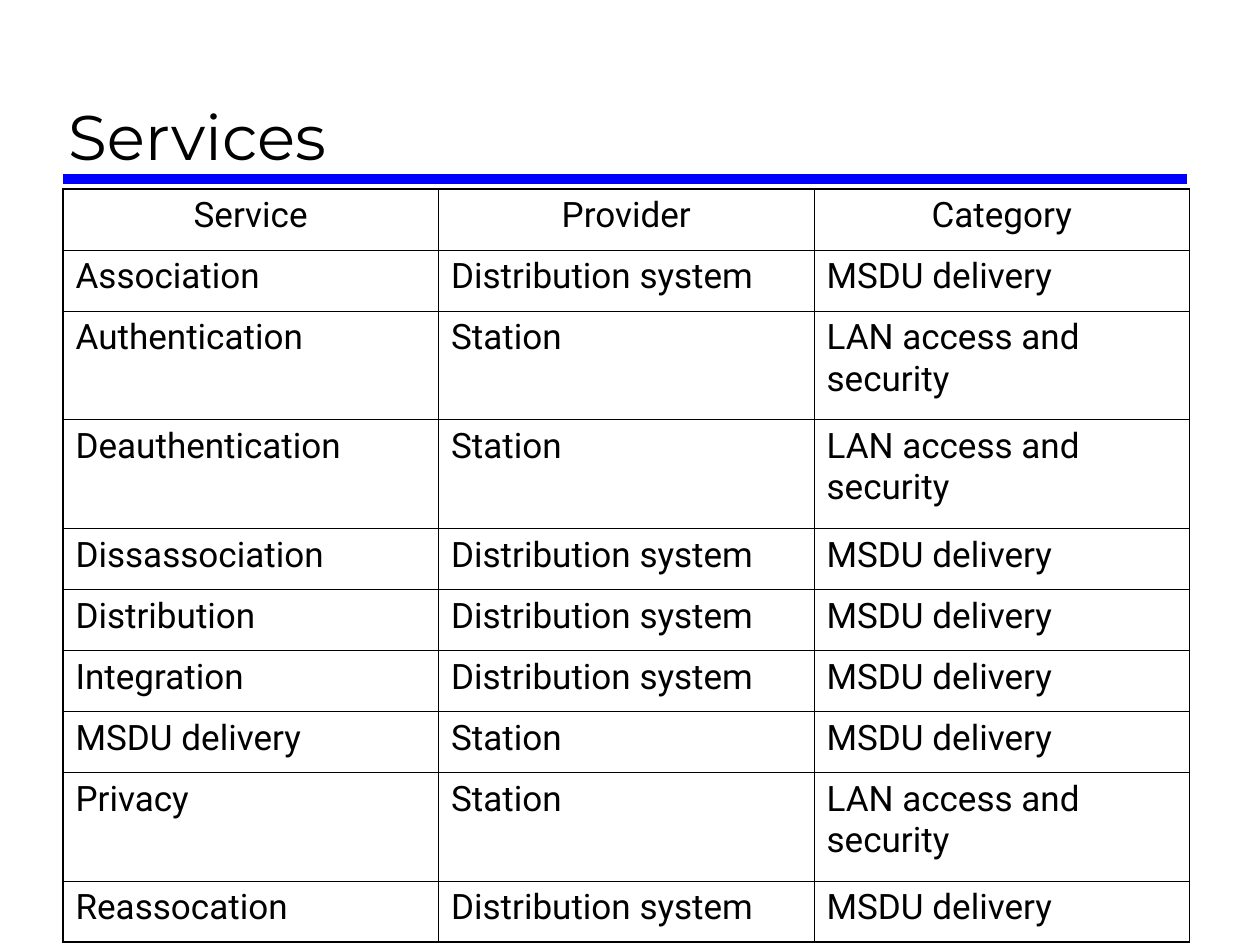
from pptx import Presentation
from pptx.dml.color import RGBColor
from pptx.enum.shapes import MSO_CONNECTOR
from pptx.enum.text import MSO_ANCHOR, MSO_AUTO_SIZE, PP_ALIGN
from pptx.oxml.ns import qn
from pptx.util import Cm, Pt
from lxml.etree import SubElement

ROWS = [
    ("Service", "Provider", "Category"),
    ("Association", "Distribution system", "MSDU delivery"),
    ("Authentication", "Station", "LAN access and security"),
    ("Deauthentication", "Station", "LAN access and security"),
    ("Dissassociation", "Distribution system", "MSDU delivery"),
    ("Distribution", "Distribution system", "MSDU delivery"),
    ("Integration", "Distribution system", "MSDU delivery"),
    ("MSDU delivery", "Station", "MSDU delivery"),
    ("Privacy", "Station", "LAN access and security"),
    ("Reassocation", "Distribution system", "MSDU delivery"),
]


def color(code):
    return RGBColor.from_string(code)


def write(frame, text, font="Roboto", size=20, ink="000000",
          align=PP_ALIGN.LEFT, before=0):
    frame.text = text
    para = frame.paragraphs[0]
    para.alignment = align
    para.space_before = Pt(before)
    style = para.runs[0].font
    style.name, style.size = font, Pt(size)
    style.color.rgb = color(ink)


class Deck:
    ink, blue = "000000", "0000FF"
    thin, thick = 0.45, 1.08
    low, tall = 1.23, 2.19

    def __init__(self, show):
        self.slide = show.slides.add_slide(show.slide_layouts[5])

    def title(self, text, left, top, width, height):
        box = self.slide.shapes.title
        box.left, box.top = Cm(left), Cm(top)
        box.width, box.height = Cm(width), Cm(height)
        frame = box.text_frame
        frame.vertical_anchor = MSO_ANCHOR.BOTTOM
        frame.auto_size = MSO_AUTO_SIZE.NONE
        write(frame, text, font="Montserrat", size=36, ink=self.ink)

    def rule(self, left, right, top, width):
        line = self.slide.shapes.add_connector(
            MSO_CONNECTOR.STRAIGHT, Cm(left), Cm(top), Cm(right), Cm(top))
        line.line.color.rgb = color(self.blue)
        line.line.width = Pt(width)
        SubElement(line._element.spPr, qn("a:effectLst"))

    def edge(self, cell, side, width):
        props = cell._tc.get_or_add_tcPr()
        line = SubElement(props, qn(f"a:ln{side}"), w=str(Pt(width)))
        fill = SubElement(line, qn("a:solidFill"))
        SubElement(fill, qn("a:srgbClr"), val=self.ink)

    def table(self, rows, left, top, width):
        count, span = len(rows), len(rows[0])
        # Rows whose category wraps to two lines are taller
        sizes = [self.tall if len(row[-1]) > 20 else self.low for row in rows]
        grid = self.slide.shapes.add_table(
            count, span, Cm(left), Cm(top), Cm(width), Cm(sum(sizes))).table
        grid.first_row = grid.horz_banding = False
        for col in grid.columns:
            col.width = Cm(width / span)
        for r, row in enumerate(rows):
            grid.rows[r].height = Cm(sizes[r])
            for c, text in enumerate(row):
                cell = grid.cell(r, c)
                write(cell.text_frame, text, ink=self.ink, before=5,
                      align=PP_ALIGN.LEFT if r else PP_ALIGN.CENTER)
                # Thick outer frame, thin inner lines
                outer = {"L": c == 0, "R": c == span - 1,
                         "T": r == 0, "B": r == count - 1}
                for side, out in outer.items():
                    self.edge(cell, side, self.thick if out else self.thin)
                cell.fill.background()


def main():
    show = Presentation()
    show.slide_width, show.slide_height = Cm(25.4), Cm(19.05)
    deck = Deck(show)
    # Heading with its blue rule
    deck.rule(1.27, 23.93, 3.61, 6)
    deck.title("Services", 1.12, 0.43, 22.78, 3.18)
    # Service table
    deck.table(ROWS, 1.27, 3.81, 22.71)
    show.save("out.pptx")


if __name__ == "__main__":
    main()
